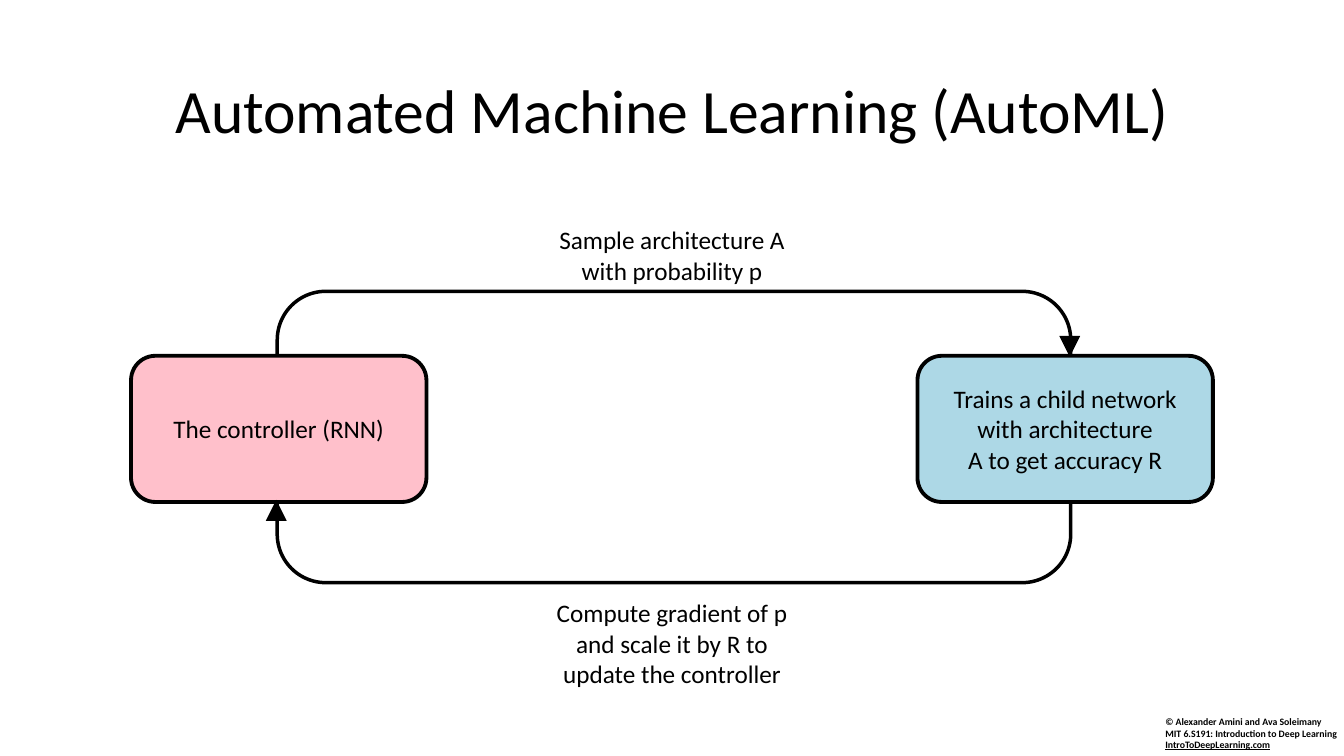
from lxml import etree
from pptx import Presentation
from pptx.dml.color import RGBColor
from pptx.enum.shapes import MSO_CONNECTOR, MSO_SHAPE
from pptx.enum.text import MSO_ANCHOR, PP_ALIGN
from pptx.oxml.ns import qn
from pptx.util import Inches, Pt

ROUNDED = MSO_SHAPE.ROUNDED_RECTANGLE
STRAIGHT = MSO_CONNECTOR.STRAIGHT
CENTER, LEFT = PP_ALIGN.CENTER, PP_ALIGN.LEFT
MIDDLE, TOP = MSO_ANCHOR.MIDDLE, MSO_ANCHOR.TOP

COLORS = {"black": "000000", "pink": "FFC0CB", "blue": "ADD8E6"}
BLACK = RGBColor.from_string(COLORS["black"])


def write(shape, lines, size, align=CENTER, anchor=TOP):
    frame = shape.text_frame
    frame.word_wrap = True
    frame.vertical_anchor = anchor
    frame.text = "\n".join(lines)
    for paragraph in frame.paragraphs:
        paragraph.alignment = align
        paragraph.font.name = "Calibri"
        paragraph.font.size = Pt(size)
        paragraph.font.color.rgb = BLACK
    return frame.paragraphs[0]


def add_rounded(box, line_width, fill=None):
    shape = slide.shapes.add_shape(ROUNDED, *map(Inches, box))
    shape.shadow.inherit = False
    if fill:
        shape.fill.solid()
        shape.fill.fore_color.rgb = RGBColor.from_string(COLORS[fill])
    else:
        shape.fill.background()
    shape.line.color.rgb = BLACK
    shape.line.width = Pt(line_width)
    return shape


presentation = Presentation()
presentation.slide_width = Inches(13.33)
presentation.slide_height = Inches(7.5)
slide = presentation.slides.add_slide(presentation.slide_layouts[6])

# Copyright footer
footer = slide.shapes.add_textbox(Inches(11.46), Inches(7.05), Inches(1.98), Inches(0.45))
credit = write(footer, ["© Alexander Amini and Ava Soleimany\v"
                        "MIT 6.S191: Introduction to Deep Learning\v"], 7, LEFT)
credit.font.bold = True
site = credit.add_run()
site.text = "IntroToDeepLearning.com"
site.font.underline = True

# Loop behind the two boxes
add_rounded((2.75, 2.89, 7.87, 2.89), 2.5)

# Title
title = slide.shapes.add_textbox(Inches(0.92), Inches(0.4), Inches(11.5), Inches(1.45))
write(title, ["Automated Machine Learning (AutoML)"], 44, anchor=MIDDLE).line_spacing = 0.9

# Labels above and below the loop
for top, height, label in [
    (2.18, 0.71, "Sample architecture A with probability p"),
    (5.88, 1.01, "Compute gradient of p and scale it by R to update the controller"),
]:
    caption = slide.shapes.add_textbox(Inches(5.24), Inches(top), Inches(2.85), Inches(height))
    write(caption, [label], 18)

# Controller and child network
for left, fill, lines in [
    (1.3, "pink", ["The controller (RNN)"]),
    (9.1, "blue", ["Trains a child network with architecture", "A to get accuracy R"]),
]:
    step = add_rounded((left, 3.53, 2.93, 1.45), 2.75, fill)
    write(step, lines, 18, anchor=MIDDLE)

# Arrowheads on the loop
for x, start, end in [(2.74, 5.08, 4.96), (10.61, 3.41, 3.54)]:
    arrow = slide.shapes.add_connector(STRAIGHT, Inches(x), Inches(start), Inches(x), Inches(end))
    arrow.line.color.rgb = BLACK
    arrow.line.width = Pt(5)
    properties = arrow._element.spPr
    etree.SubElement(properties.find(qn("a:ln")), qn("a:tailEnd"), type="triangle")
    etree.SubElement(properties, qn("a:effectLst"))

presentation.save("out.pptx")
